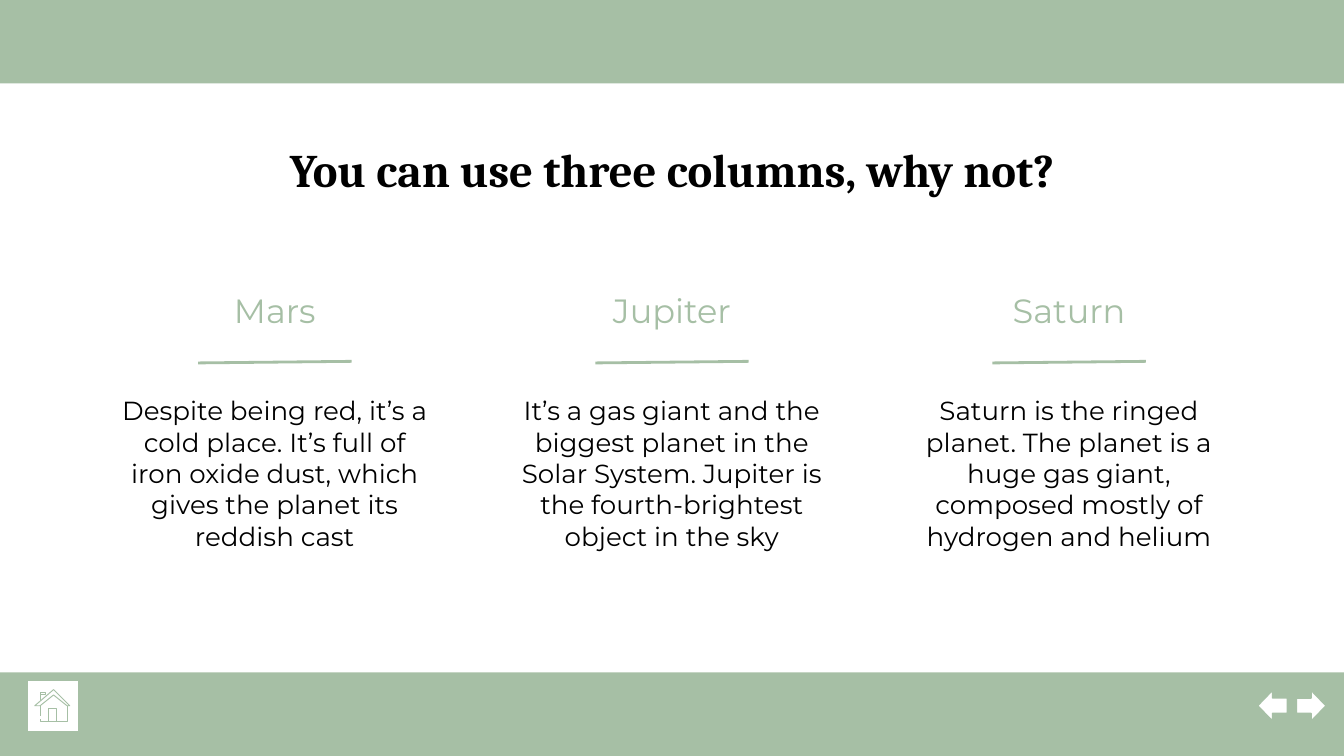
from lxml.etree import SubElement
from pptx import Presentation
from pptx.dml.color import RGBColor
from pptx.enum.shapes import MSO_CONNECTOR, MSO_SHAPE
from pptx.enum.text import MSO_ANCHOR, PP_ALIGN
from pptx.oxml.ns import qn
from pptx.util import Cm, Pt

COLORS = {"sage": "A6BFA5", "white": "FFFFFF", "black": "000000"}
PAGE_WIDTH, PAGE_HEIGHT = 25.4, 14.29
BAND_HEIGHT = 1.58
MARGIN = 1.98
CONTENT_WIDTH = PAGE_WIDTH - 2 * MARGIN

PLANETS = [
    ("Mars", ["Despite being red, it’s a cold place. It’s full of iron oxide dust, "
              "which gives the planet its reddish cast"]),
    ("Jupiter", ["It’s a gas giant and the",
                 "biggest planet in the Solar System. Jupiter is the fourth-brightest "
                 "object in the sky"]),
    ("Saturn", ["Saturn is the ringed planet. The planet is a huge gas giant, "
                "composed mostly of hydrogen and helium"]),
]

# Strokes of the house on a grid 27 units wide
HOUSE_WIDTH = 27
HOUSE_STROKES = [
    # roof
    [(20.5, 6.5), (26.5, 11.5), (23.5, 11.5), (13.5, 3.5), (3.5, 11.5),
     (0.5, 11.5), (13.5, 0.5), (19.5, 5.5)],
    # chimney
    [(4.5, 8), (4.5, 4.5), (3.5, 4.5), (3.5, 2.5), (8.5, 2.5), (8.5, 4.5), (4.5, 4.5)],
    # walls
    [(3.5, 11.5), (3.5, 19.5)],
    [(3.5, 21.5), (3.5, 24.5), (23.5, 24.5), (23.5, 11.5)],
    # door
    [(10.5, 24.5), (10.5, 13.5), (15.5, 13.5), (15.5, 24.5)],
]


def color(name):
    return RGBColor.from_string(COLORS[name])


def add_text(page, paragraphs, left, top, width, height, size, font="Montserrat",
             ink="black", bold=False, anchor=MSO_ANCHOR.TOP):
    box = page.shapes.add_textbox(Cm(left), Cm(top), Cm(width), Cm(height))
    frame = box.text_frame
    frame.word_wrap = True
    frame.vertical_anchor = anchor
    frame.margin_left = frame.margin_right = Cm(0.25)
    frame.margin_top = frame.margin_bottom = Cm(0.25)
    for index, text in enumerate(paragraphs):
        para = frame.paragraphs[0] if index == 0 else frame.add_paragraph()
        para.alignment = PP_ALIGN.CENTER
        span = para.add_run()
        span.text = text
        span.font.name = font
        span.font.size = Pt(size)
        span.font.bold = bold
        span.font.color.rgb = color(ink)


def add_block(page, kind, left, top, width, height, fill, outline=None):
    block = page.shapes.add_shape(kind, Cm(left), Cm(top), Cm(width), Cm(height))
    block.shadow.inherit = False
    block.fill.solid()
    block.fill.fore_color.rgb = color(fill)
    if outline:
        block.line.color.rgb = color(outline)
        block.line.width = Pt(0.75)
    else:
        block.line.fill.background()
    return block


def add_column(page, left, top, width, name, description):
    add_text(page, [name], left, top, width, 1.45, size=18, ink="sage",
             anchor=MSO_ANCHOR.BOTTOM)
    # Slightly rising rule under the name
    rule_width = 2.9
    start = left + (width - rule_width) / 2
    rule = page.shapes.add_connector(
        MSO_CONNECTOR.STRAIGHT, Cm(start), Cm(top + 1.81),
        Cm(start + rule_width), Cm(top + 1.78))
    rule.line.color.rgb = color("sage")
    rule.line.width = Pt(1.5)
    SubElement(rule._element.spPr, qn("a:effectLst"))
    add_text(page, description, left, top + 2.16, width, 3.84, size=14)


def add_columns(page, left, top, width):
    column_width = 6.43
    step = (width - column_width) / (len(PLANETS) - 1)
    for index, (name, description) in enumerate(PLANETS):
        add_column(page, left + index * step, top, column_width, name, description)


def add_home_button(page, left, top, size):
    add_block(page, MSO_SHAPE.RECTANGLE, left, top, size, size, "white", "sage")
    house_width = 0.7 * size
    builder = None
    for first, *others in HOUSE_STROKES:
        if builder is None:
            builder = page.shapes.build_freeform(*first, scale=Cm(house_width) / HOUSE_WIDTH)
        else:
            builder.move_to(*first)
        builder.add_line_segments(others, close=False)
    house = builder.convert_to_shape(Cm(left + 0.15 * size), Cm(top + 0.18 * size))
    house.shadow.inherit = False
    house.fill.background()
    house.line.color.rgb = color("sage")
    house.line.width = Pt(0.5)


def add_arrows(page, left, top):
    for index, turn in enumerate((0, 180)):
        arrow = add_block(page, MSO_SHAPE.LEFT_ARROW, left + index * 0.73, top,
                          0.56, 0.58, "white", "sage")
        arrow.rotation = turn


def add_footer(page, top):
    add_block(page, MSO_SHAPE.RECTANGLE, 0, top, PAGE_WIDTH, BAND_HEIGHT, "sage")
    add_arrows(page, 23.77, top + 0.34)
    add_home_button(page, 0.51, top + 0.15, 0.98)


def main():
    deck = Presentation()
    deck.slide_width, deck.slide_height = Cm(PAGE_WIDTH), Cm(PAGE_HEIGHT)
    page = deck.slides.add_slide(deck.slide_layouts[6])

    # Header band and title
    add_block(page, MSO_SHAPE.RECTANGLE, 0, 0, PAGE_WIDTH, BAND_HEIGHT, "sage")
    add_text(page, ["You can use three columns, why not?"], MARGIN, 2.41,
             CONTENT_WIDTH, 1.52, size=25, font="Cambria", bold=True)

    add_columns(page, MARGIN, 5.05, CONTENT_WIDTH)
    add_footer(page, PAGE_HEIGHT - BAND_HEIGHT)
    deck.save("out.pptx")


if __name__ == "__main__":
    main()
